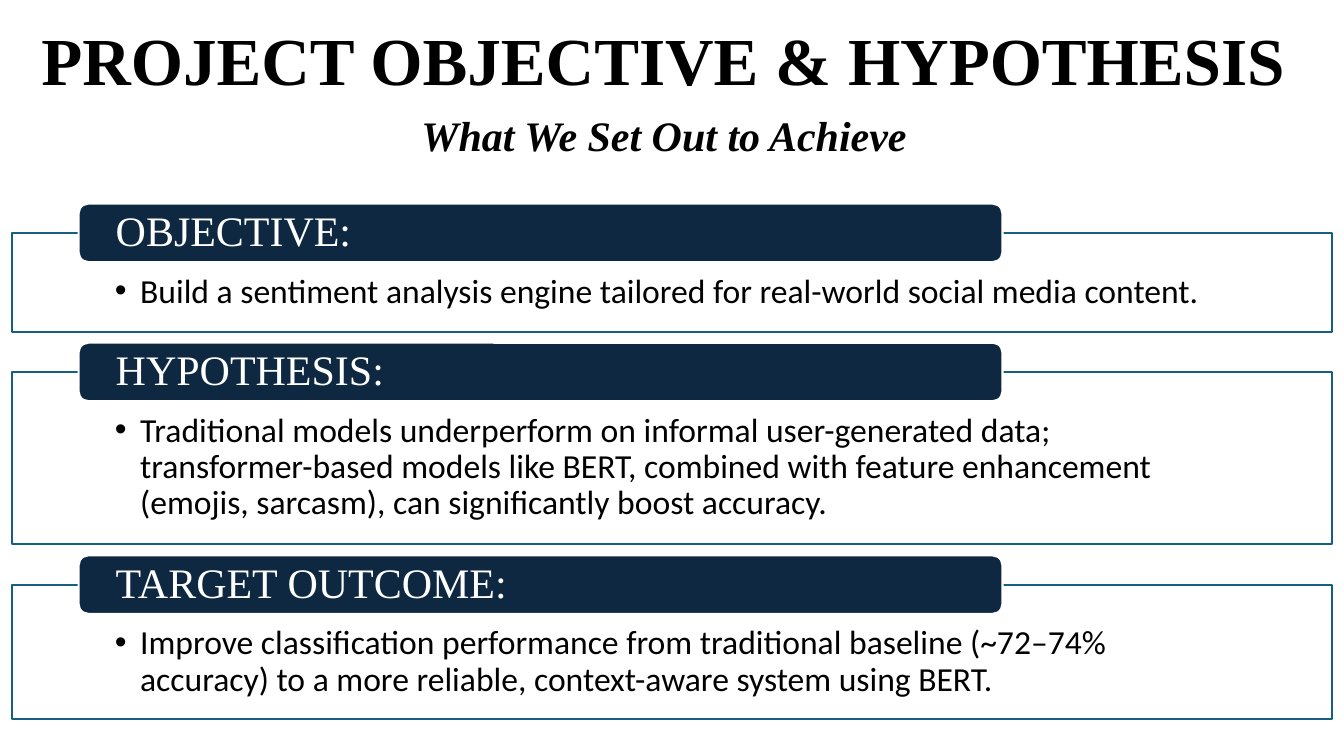
from lxml import etree
from pptx import Presentation
from pptx import util as u
from pptx.dml.color import RGBColor
from pptx.enum import shapes, text
from pptx.oxml.ns import qn

NAVY, TEAL, WHITE, BLACK = "0E2841", "156082", "FFFFFF", "000000"
SERIF, SANS = "Times New Roman", "Calibri"

SECTIONS = [
    ("OBJECTIVE:", 0.98,
     "Build a sentiment analysis engine tailored for real-world social media content."),
    ("HYPOTHESIS:", 1.71,
     "Traditional models underperform on informal user-generated data; "
     "transformer-based models like BERT, combined with feature enhancement "
     "(emojis, sarcasm), can significantly boost accuracy."),
    ("TARGET OUTCOME:", 1.33,
     "Improve classification performance from traditional baseline (~72–74% accuracy) "
     "to a more reliable, context-aware system using BERT."),
]
FIRST_TOP, SECTION_GAP = 2.31, 0.4


def color(hex_value):
    """Turn a hex string into a colour."""
    return RGBColor.from_string(hex_value)


def inches(*lengths):
    """Convert several lengths to inches."""
    return [u.Inches(length) for length in lengths]


def apply(target, formats):
    """Set each named format value on the target."""
    for name, value in formats.items():
        setattr(target, name, value)


def write(holder, wording, ink, font, frame, paragraph):
    """Write one formatted paragraph into a shape and return it."""
    apply(holder.text_frame, frame)
    line = holder.text_frame.paragraphs[0]
    apply(line, paragraph)
    run = line.add_run()
    run.text = wording
    apply(run.font, font)
    run.font.color.rgb = color(ink)
    return line


def add_block(slide, kind, box, fill, outline):
    """Add a filled and outlined block without shadow."""
    block = slide.shapes.add_shape(kind, *inches(*box))
    block.shadow.inherit = False
    block.fill.solid()
    block.fill.fore_color.rgb = color(fill)
    block.line.color.rgb = color(outline)
    block.line.width = u.Pt(1.5)
    return block


def add_bullet(paragraph):
    """Give a paragraph a hanging round bullet."""
    properties = paragraph._p.get_or_add_pPr()
    properties.set("marL", str(u.Inches(0.25)))
    properties.set("indent", str(u.Inches(-0.25)))
    etree.SubElement(properties, qn("a:buFont")).set("typeface", "Arial")
    etree.SubElement(properties, qn("a:buChar")).set("char", "•")


def add_heading(slide, left, top, width, height):
    """Place the title and the subtitle beneath it."""
    title = slide.shapes.add_textbox(*inches(left, top, width, height))
    write(title, "PROJECT OBJECTIVE & HYPOTHESIS ", BLACK,
          {"name": SERIF, "size": u.Pt(48), "bold": True},
          {"word_wrap": True, "vertical_anchor": text.MSO_ANCHOR.BOTTOM},
          {"alignment": text.PP_ALIGN.CENTER, "line_spacing": 0.9})
    subtitle = slide.shapes.add_textbox(*inches(left + 4.08, top + height, 5.18, 0.61))
    write(subtitle, "What We Set Out to Achieve", BLACK,
          {"name": SERIF, "size": u.Pt(30), "bold": True, "italic": True},
          {"word_wrap": False, "auto_size": text.MSO_AUTO_SIZE.SHAPE_TO_FIT_TEXT},
          {"alignment": text.PP_ALIGN.LEFT})


def add_section(slide, left, top, width, height, label, statement):
    """Place a bordered statement with its label tab over the top edge."""
    panel = add_block(slide, shapes.MSO_SHAPE.RECTANGLE,
                      (left, top, width, height), WHITE, TEAL)
    tint = panel.fill._xPr.find(qn("a:solidFill"))[0]
    etree.SubElement(tint, qn("a:alpha")).set("val", "90000")
    bullet = write(panel, statement, BLACK, {"name": SANS, "size": u.Pt(24)},
                   {"word_wrap": True, "vertical_anchor": text.MSO_ANCHOR.TOP,
                    "margin_left": u.Inches(1.02), "margin_right": u.Inches(1.02),
                    "margin_top": u.Inches(0.41), "margin_bottom": u.Inches(0.19)},
                   {"alignment": text.PP_ALIGN.LEFT, "line_spacing": 0.9})
    add_bullet(bullet)
    tab = add_block(slide, shapes.MSO_SHAPE.ROUNDED_RECTANGLE,
                    (left + 0.66, top - 0.29, width * 0.7, 0.58), NAVY, WHITE)
    write(tab, label, WHITE, {"name": SERIF, "size": u.Pt(30)},
          {"word_wrap": True, "vertical_anchor": text.MSO_ANCHOR.MIDDLE,
           "margin_left": u.Inches(0.34), "margin_right": u.Inches(0.34),
           "margin_top": 0, "margin_bottom": 0},
          {"alignment": text.PP_ALIGN.LEFT, "line_spacing": 0.9})


def main():
    """Build the objective and hypothesis slide."""
    deck = Presentation()
    apply(deck, {"slide_width": u.Inches(13.33), "slide_height": u.Inches(7.5)})
    slide = deck.slides.add_slide(deck.slide_layouts[6])
    add_heading(slide, 0, -0.2, 13.33, 1.24)
    top = FIRST_TOP
    for label, height, statement in SECTIONS:
        add_section(slide, 0.12, top, 13.09, height, label, statement)
        top += height + SECTION_GAP
    deck.save("out.pptx")


if __name__ == "__main__":
    main()
